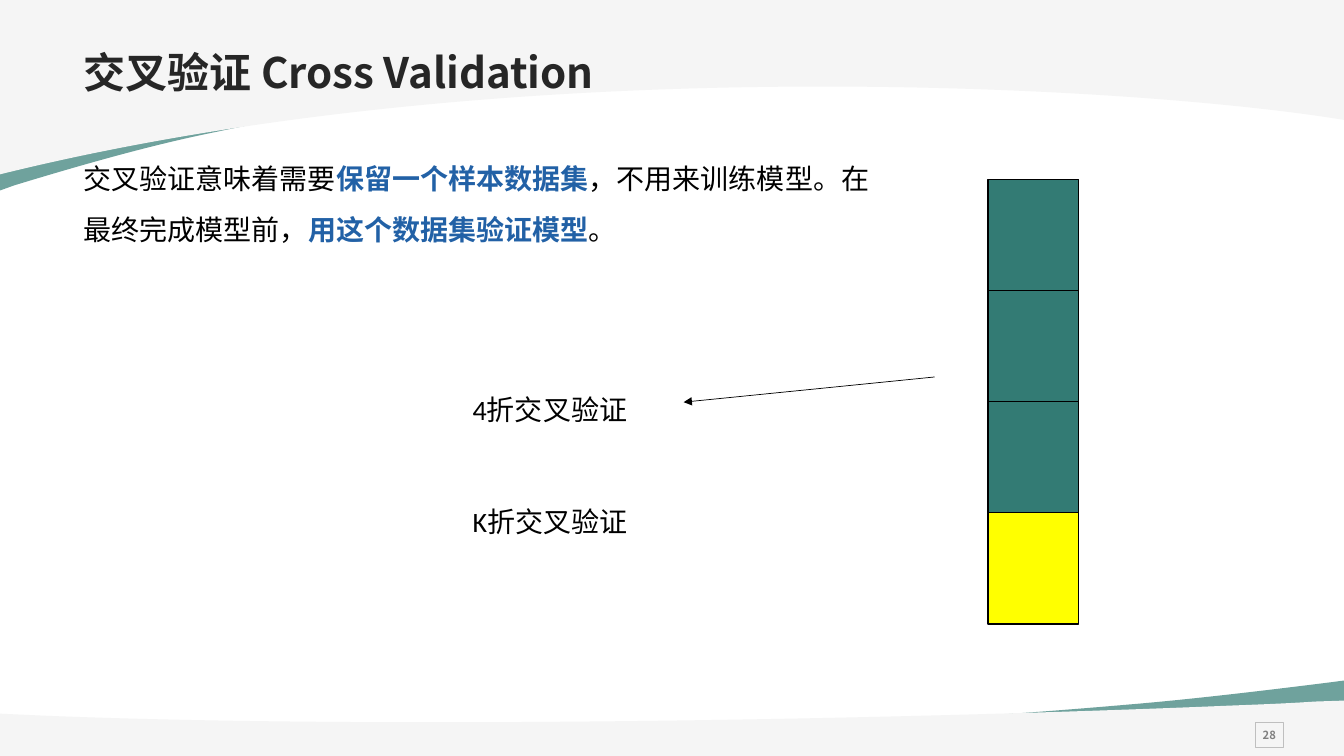
import pptx
import pptx.dml.color
import pptx.enum.shapes
import pptx.enum.text
import pptx.oxml
import pptx.oxml.ns
import pptx.util
from pptx.util import Inches

RGBColor = pptx.dml.color.RGBColor
TEAL = RGBColor(0x33, 0x7B, 0x74)
YELLOW = RGBColor(0xFF, 0xFF, 0x00)
BLUE = RGBColor(0x22, 0x61, 0xA6)
BLACK = RGBColor(0, 0, 0)
INK = RGBColor(0x26, 0x26, 0x26)
GREY = RGBColor(0x80, 0x80, 0x80)
SILVER = RGBColor(0xBF, 0xBF, 0xBF)
MIST = RGBColor(0xF5, 0xF5, 0xF5)
CJK = "Noto Sans CJK SC"
LATIN = "Calibri"
ANCHOR = pptx.enum.text.MSO_ANCHOR
ALIGN = pptx.enum.text.PP_ALIGN
FIT = pptx.enum.text.MSO_AUTO_SIZE
RECTANGLE = pptx.enum.shapes.MSO_SHAPE.RECTANGLE


def element(tag, **attributes):
    node = pptx.oxml.parse_xml(f"<{tag} {pptx.oxml.ns.nsdecls('a')}/>")
    for key, value in attributes.items():
        node.set(key, value)
    return node


class Slide:
    def __init__(self, deck):
        self.page = deck.slides.add_slide(deck.slide_layouts[5])
        self.shapes = self.page.shapes

    def font(self, paragraph, size, color, name, bold=None):
        font = paragraph.font
        font.size = pptx.util.Pt(size)
        font.name = name
        font.bold = bold
        if color is not None:
            font.color.rgb = color
        font._element.find(pptx.oxml.ns.qn("a:latin")).addnext(
            element("a:ea", typeface=CJK))

    def band(self, start, segments, color, alpha=None):
        builder = self.shapes.build_freeform(*map(Inches, start))
        builder.add_line_segments(
            [tuple(map(Inches, segment[-2:])) for segment in segments], close=True)
        band = builder.convert_to_shape()
        band.shadow.inherit = False
        band.line.fill.background()
        band.fill.solid()
        band.fill.fore_color.rgb = color
        if alpha:
            fill = band._element.spPr.find(pptx.oxml.ns.qn("a:solidFill"))
            fill[0].append(element("a:alpha", val=str(alpha * 1000)))
        lines = list(band._element.iter(pptx.oxml.ns.qn("a:lnTo")))
        for line, segment in zip(lines, segments):
            if len(segment) == 6:
                self.bend(band, line, segment)

    def bend(self, band, line, segment):
        curve = element("a:cubicBezTo")
        for x, y in zip(segment[::2], segment[1::2]):
            curve.append(element(
                "a:pt", x=str(Inches(x) - band.left), y=str(Inches(y) - band.top)))
        line.getparent().replace(line, curve)

    def title(self, text, left, top, width, height):
        title = self.shapes.title
        self.shapes._spTree.append(title._element)
        title.left, title.top = Inches(left), Inches(top)
        title.width, title.height = Inches(width), Inches(height)
        frame = title.text_frame
        frame.text = text
        frame.auto_size = FIT.NONE
        frame.vertical_anchor = ANCHOR.MIDDLE
        frame.margin_bottom = Inches(0.11)
        paragraph = frame.paragraphs[0]
        paragraph.alignment = ALIGN.LEFT
        paragraph.line_spacing = 0.9
        self.font(paragraph, 30, INK, CJK, True)

    def text(self, spans, left, top, width, height):
        box = self.shapes.add_textbox(*map(Inches, (left, top, width, height)))
        box.text_frame.word_wrap = True
        box.text_frame.auto_size = FIT.SHAPE_TO_FIT_TEXT
        paragraph = box.text_frame.paragraphs[0]
        paragraph.line_spacing = 1.5
        for words, strong in spans:
            span = paragraph.add_run()
            span.text = words
            if len(spans) > 1:
                span.font.bold = strong
                span.font.color.rgb = BLUE if strong else BLACK
        self.font(paragraph, 20, BLACK if len(spans) == 1 else None, LATIN)

    def rectangle(self, left, top, width, height, fill, line, weight):
        box = self.shapes.add_shape(RECTANGLE, *map(Inches, (left, top, width, height)))
        box.shadow.inherit = False
        if fill is None:
            box.fill.background()
        else:
            box.fill.solid()
            box.fill.fore_color.rgb = fill
        box.line.color.rgb = line
        box.line.width = pptx.util.Pt(weight)
        return box

    def page_number(self, number, left, top, width, height):
        box = self.rectangle(left, top, width, height, None, SILVER, 0.75)
        frame = box.text_frame
        frame.text = number
        frame.word_wrap = False
        frame.vertical_anchor = ANCHOR.MIDDLE
        frame.margin_left = frame.margin_right = Inches(0.08)
        frame.margin_top = frame.margin_bottom = Inches(0.08)
        frame.paragraphs[0].alignment = ALIGN.CENTER
        self.font(frame.paragraphs[0], 8, GREY, CJK, True)

    def arrow(self, start, end):
        arrow = self.shapes.add_connector(
            pptx.enum.shapes.MSO_CONNECTOR.STRAIGHT, *map(Inches, start + end))
        arrow.line.color.rgb = BLACK
        arrow.line.width = pptx.util.Pt(0.5)
        arrow.line._get_or_add_ln().append(element("a:tailEnd", type="triangle"))
        arrow._element.spPr.append(element("a:effectLst"))


def main():
    deck = pptx.Presentation()
    deck.slide_width, deck.slide_height = Inches(13.33), Inches(7.5)
    slide = Slide(deck)

    slide.band((0, 1.89), [
        (0, 0.22), (13.34, 0.22), (13.34, 0.91), (13.33, 0.91),
        (10.32, 0.06, 5.14, 0.67, 2.14, 1.31),
        (1.54, 1.43, 0.86, 1.62, 0.14, 1.84)], TEAL, 70)
    slide.band((0, 0), [
        (13.33, 0), (13.33, 1.19), (11.4, 0.87, 5.17, 0.45, 0, 1.73)], MIST)
    slide.band((13.34, 6.75), [
        (13.34, 7.44), (0, 7.44), (0, 7.15), (0.01, 7.16),
        (3.01, 7.5, 8.2, 7.25, 11.19, 6.99),
        (11.79, 6.94, 12.47, 6.86, 13.19, 6.77)], TEAL, 70)
    slide.band((13.34, 6.95), [
        (13.34, 7.17), (13.34, 7.19), (13.34, 7.5),
        (0, 7.5), (0, 7.19), (0, 7.17), (0, 7.08), (0.44, 7.1),
        (3.92, 7.24, 9.1, 7.13, 12.2, 7),
        (12.46, 6.99, 12.75, 6.98, 13.04, 6.96)], MIST)
    slide.page_number("28", 12.45, 7.17, 0.28, 0.25)

    slide.title("交叉验证 Cross Validation", 0.73, 0.47, 11.87, 0.6)
    slide.text([
        ("交叉验证意味着需要", False),
        ("保留一个样本数据集", True),
        ("，不用来训练模型。在最终完成模型前，", False),
        ("用这个数据集验证模型", True),
        ("。", False)], 0.73, 1.39, 7.99, 1.11)

    folds = (TEAL, TEAL, TEAL, YELLOW)
    fold_height = 4.41 / len(folds)
    for index, color in enumerate(folds):
        slide.rectangle(9.8, 1.78 + index * fold_height, 0.9, fold_height, color, BLACK, 1)

    for label, top in (("4折交叉验证", 3.68), ("K折交叉验证", 4.79)):
        slide.text([(label, False)], 4.59, top, 2.19, 0.61)
    slide.arrow((9.27, 3.74), (6.78, 3.99))

    deck.save("out.pptx")


if __name__ == "__main__":
    main()
